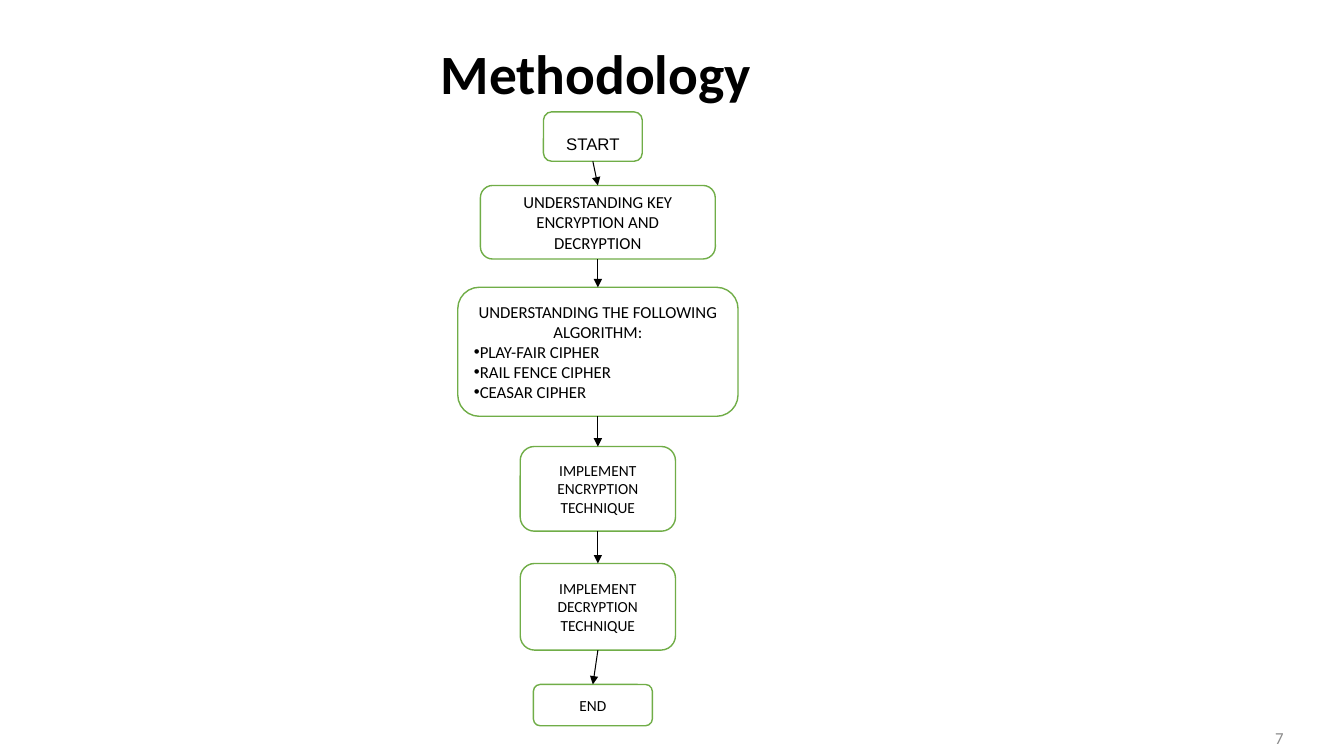
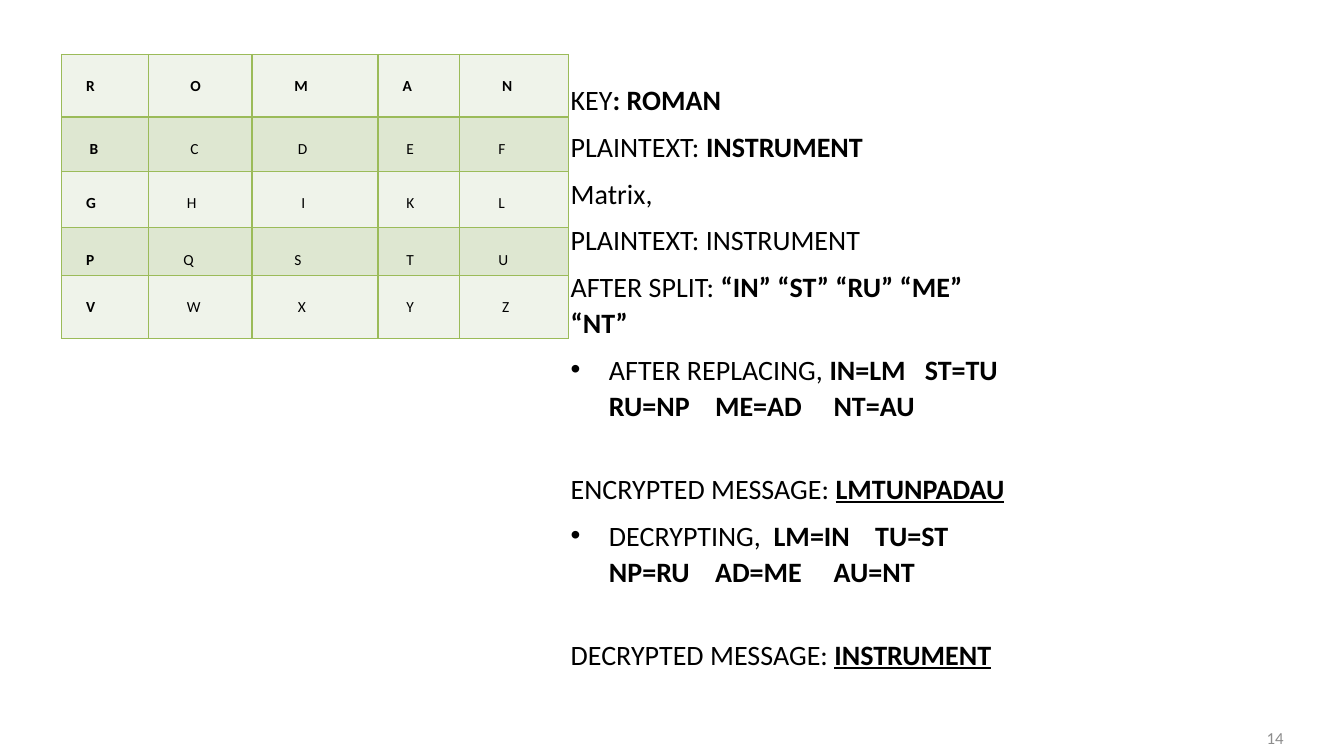
from pptx import Presentation
from pptx.dml.color import RGBColor
from pptx.enum.shapes import MSO_CONNECTOR, MSO_SHAPE
from pptx.enum.text import MSO_ANCHOR, MSO_AUTO_SIZE, PP_ALIGN
from pptx.oxml import parse_xml
from pptx.oxml.ns import nsdecls, qn
from pptx.util import Inches, Pt

BLACK = RGBColor(0x00, 0x00, 0x00)
WHITE = RGBColor(0xFF, 0xFF, 0xFF)
GRAY = RGBColor(0x8C, 0x8C, 0x8C)
GREEN = RGBColor(0x70, 0xAD, 0x47)
BORDER = RGBColor(0x9B, 0xBB, 0x59)
BANDS = (RGBColor(0xEF, 0xF3, 0xEA), RGBColor(0xDE, 0xE7, 0xD1))

COLS, ROWS, CELL = 133.3, 75, 0.1
TITLE_ONLY, TWO_CONTENT = 5, 3
TOP, BOTTOM = 0, 2
BOLD = {"bold": True}
UNDERLINED = {"bold": True, "underline": True}


def grid(n):
    return Inches(n * CELL)


def apply(obj, **values):
    for name, value in values.items():
        setattr(obj, name, value)


def add_xml(parent, tag, content="", attrs=""):
    parent.append(parse_xml(f"<a:{tag} {nsdecls('a')} {attrs}>{content}</a:{tag}>"))


def pairs(*items):
    runs = []
    for text, gap in items:
        runs.append((text, BOLD))
        if gap:
            runs.append((" ", BOLD, gap))
    return runs


class Deck:
    font = {"name": "Calibri", "size": Pt(12), "bold": False}
    body = {"line_spacing": 1.07, "space_before": Pt(0), "space_after": Pt(8)}

    def __init__(self):
        self.prs = Presentation()
        apply(self.prs, slide_width=grid(COLS), slide_height=grid(ROWS))

    def slide(self, layout, number):
        self.s = self.prs.slides.add_slide(self.prs.slide_layouts[layout])
        sp = self.s.shapes.add_textbox(*map(grid, (97.2, 71.2, 31.1, 4)))
        apply(sp.text_frame, word_wrap=True, vertical_anchor=MSO_ANCHOR.MIDDLE)
        self.add_runs(sp.text_frame.paragraphs[0], [(str(number), {})],
                      {"alignment": PP_ALIGN.RIGHT}, color=GRAY)

    def add_runs(self, p, runs, layout, color=BLACK, **font):
        apply(p, **layout)
        for text, style, *gap in runs:
            r = p.add_run()
            r.text = text
            apply(r.font, **{**self.font, **font, **style})
            r.font.color.rgb = color
            if gap:
                r._r.get_or_add_rPr().set("spc", str(int(gap[0] * 100)))

    def bullet(self, p, show, indent=0):
        pPr = p._p.get_or_add_pPr()
        pPr.set("marL", str(grid(indent)))
        pPr.set("indent", str(-grid(indent)))
        if show:
            add_xml(pPr, "buFont", attrs='typeface="Arial"')
            add_xml(pPr, "buChar", attrs='char="•"')
        else:
            add_xml(pPr, "buNone")

    def place(self, sp, left, top, width, height):
        apply(sp, left=grid(left), top=grid(top),
              width=grid(width), height=grid(height))
        apply(sp.text_frame, word_wrap=True, auto_size=MSO_AUTO_SIZE.NONE)
        return sp.text_frame

    def title(self, text, *area):
        tf = self.place(self.s.shapes.title, *area)
        tf.vertical_anchor = MSO_ANCHOR.MIDDLE
        self.add_runs(tf.paragraphs[0], [(text, BOLD)],
                      {"alignment": PP_ALIGN.CENTER}, size=Pt(39.6))

    def drop_title(self):
        title = self.s.shapes.title._element
        title.getparent().remove(title)

    def text(self, idx, area, paragraphs):
        tf = self.place(self.s.placeholders[idx], *area)
        tf.vertical_anchor = MSO_ANCHOR.TOP
        for i, (runs, bulleted, before) in enumerate(paragraphs):
            p = tf.add_paragraph() if i else tf.paragraphs[0]
            self.add_runs(p, runs, {**self.body, "space_before": Pt(before)}, size=Pt(20))
            self.bullet(p, bulleted, 3.8 if bulleted else 0)

    def box(self, center, top, width, height, text, items=(),
            anchor=MSO_ANCHOR.MIDDLE, **font):
        sp = self.s.shapes.add_shape(
            MSO_SHAPE.ROUNDED_RECTANGLE,
            *map(grid, (center - width / 2, top, width, height)))
        sp.shadow.inherit = False
        sp.fill.solid()
        sp.fill.fore_color.rgb = WHITE
        sp.line.color.rgb = GREEN
        sp.line.width = Pt(1)
        tf = sp.text_frame
        apply(tf, word_wrap=True, vertical_anchor=anchor)
        self.add_runs(tf.paragraphs[0], [(text, {})],
                      {"alignment": PP_ALIGN.CENTER}, **font)
        for item in items:
            p = tf.add_paragraph()
            self.add_runs(p, [(item, {})], {"alignment": PP_ALIGN.LEFT}, **font)
            self.bullet(p, True)
        return sp

    def arrow(self, upper, lower):
        c = self.s.shapes.add_connector(MSO_CONNECTOR.STRAIGHT, 0, 0, 0, 0)
        c.begin_connect(upper, BOTTOM)
        c.end_connect(lower, TOP)
        c.line.color.rgb = BLACK
        c.line.width = Pt(0.75)
        spPr = c._element.spPr
        add_xml(spPr.find(qn("a:ln")), "tailEnd", attrs='type="triangle"')
        add_xml(spPr, "effectLst")

    def table(self, left, top, widths, heights, rows):
        frame = self.s.shapes.add_table(
            len(heights), len(widths),
            *map(grid, (left, top, sum(widths), sum(heights))))
        table = frame.table
        apply(table, first_row=False, horz_banding=False)
        for column, width in zip(table.columns, widths):
            column.width = grid(width)
        for i, (letters, indents) in enumerate(rows):
            table.rows[i].height = grid(heights[i])
            for j, (letter, indent) in enumerate(zip(letters, indents)):
                cell = table.cell(i, j)
                apply(cell, margin_left=grid(0.7 + 0.35 * indent),
                      margin_right=0, margin_top=grid(2.1), margin_bottom=0,
                      vertical_anchor=MSO_ANCHOR.TOP)
                self.add_runs(cell.text_frame.paragraphs[0],
                              [(letter, {"bold": i == 0 or j == 0})],
                              {"line_spacing": 1.07}, size=Pt(11))
                self.border(cell)
                cell.fill.solid()
                cell.fill.fore_color.rgb = BANDS[i % 2]

    def border(self, cell):
        tcPr = cell._tc.get_or_add_tcPr()
        fill = f'<a:solidFill><a:srgbClr val="{BORDER}"/></a:solidFill>'
        for side in "LRTB":
            add_xml(tcPr, f"ln{side}", fill, f'w="{Pt(1)}"')


def methodology(deck):
    deck.slide(TITLE_ONLY, 7)
    deck.title("Methodology", 8.3, 4.7, 101.6, 5)
    small = {"size": Pt(11)}
    steps = [
        deck.box(58.8, 11.1, 9.8, 4.9, "START", anchor=MSO_ANCHOR.BOTTOM, name="Arial"),
        deck.box(59.3, 18.4, 23.3, 7.3, "UNDERSTANDING KEY ENCRYPTION AND DECRYPTION"),
        deck.box(59.3, 28.5, 27.8, 12.8, "UNDERSTANDING THE FOLLOWING ALGORITHM:",
                 ("PLAY-FAIR CIPHER", "RAIL FENCE CIPHER", "CEASAR CIPHER")),
        deck.box(59.3, 44.3, 15.4, 8.4, "IMPLEMENT ENCRYPTION TECHNIQUE", **small),
        deck.box(59.3, 55.9, 15.4, 8.6, "IMPLEMENT DECRYPTION TECHNIQUE", **small),
        deck.box(58.8, 67.9, 11.8, 4.1, "END", **small),
    ]
    for upper, lower in zip(steps, steps[1:]):
        deck.arrow(upper, lower)


def playfair_example(deck):
    deck.slide(TWO_CONTENT, 14)
    deck.drop_title()
    deck.table(6.1, 5.4, (8.6, 10.3, 12.5, 8.1, 10.8), (6.2, 5.4, 5.6, 4.7, 6.3), (
        ("ROMAN", (5, 10, 10, 5, 10)),
        ("BCDEF", (6, 10, 11, 6, 9)),
        ("GHIKL", (5, 9, 12, 6, 9)),
        ("PQSTU", (5, 8, 10, 6, 9)),
        ("VWXYZ", (5, 9, 11, 6, 10)),
    ))
    deck.text(1, (55.6, 7.4, 33.2, 13.9), (
        ([("KEY", {}), (": ROMAN", BOLD)], False, 0),
        ([("PLAINTEXT: ", {}), ("INSTRUMENT", BOLD)], False, 0),
        ([("Matrix,", {})], False, 0),
    ))
    encrypting = pairs(("IN=LM", 9), ("ST=TU", 9), ("RU=NP", 13.5),
                       ("ME=AD", 18), ("NT=AU", 0))
    decrypting = pairs(("LM=IN", 13.5), ("TU=ST", 9), ("NP=RU", 13.5),
                       ("AD=ME", 18), ("AU=NT", 0))
    deck.text(2, (55.6, 21.3, 45.6, 46.1), (
        ([("PLAINTEXT: INSTRUMENT", {})], False, 0),
        ([("AFTER SPLIT: ", {}), ("“IN” “ST” “RU” “ME” “NT”", BOLD)], False, 0),
        ([("AFTER REPLACING, ", {})] + encrypting, True, 0),
        ([("ENCRYPTED MESSAGE: ", {}), ("LMTUNPADAU", UNDERLINED)], False, 25.5),
        ([("DECRYPTING,", {}), (" ", {}, 4.5)] + decrypting, True, 0),
        ([("DECRYPTED MESSAGE: ", {}), ("INSTRUMENT", UNDERLINED)], False, 25.5),
    ))


def main():
    deck = Deck()
    methodology(deck)
    playfair_example(deck)
    deck.prs.save("out.pptx")


if __name__ == "__main__":
    main()
